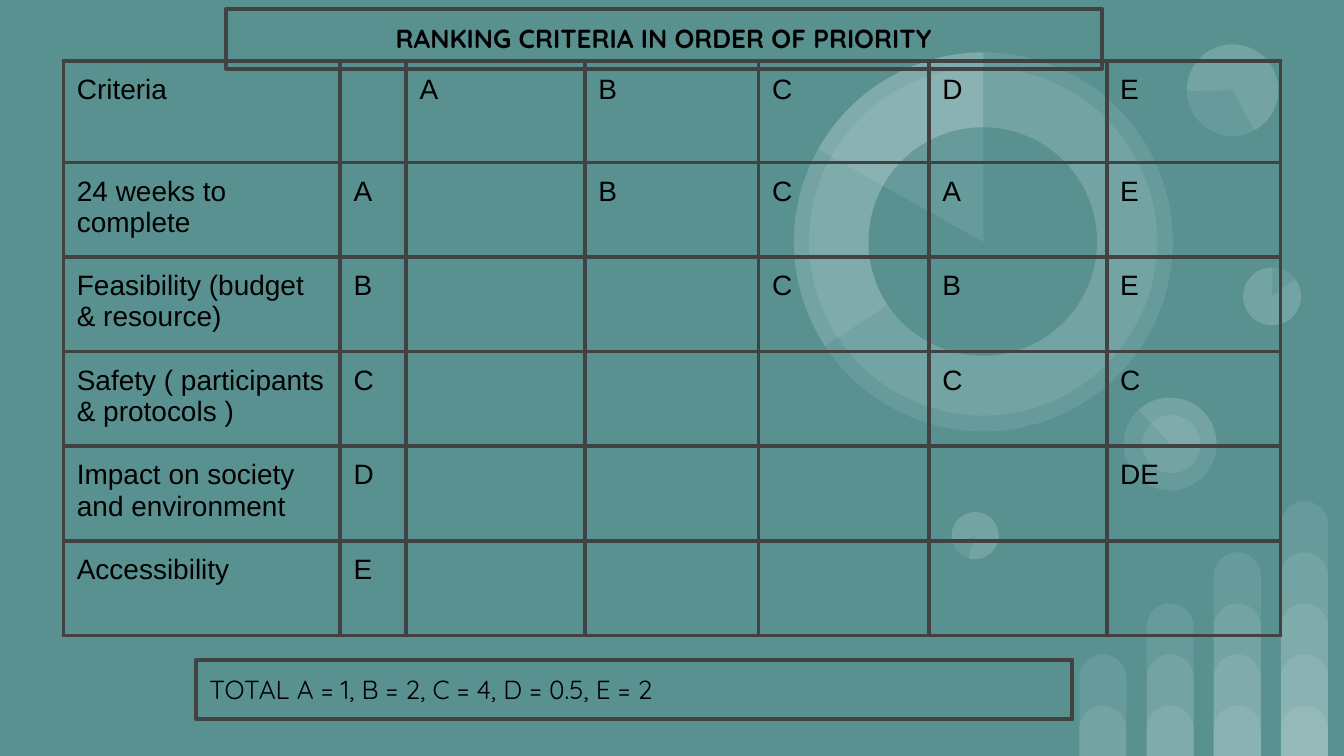
from dataclasses import dataclass

from lxml.etree import SubElement as Sub
from pptx import Presentation
from pptx.dml.color import RGBColor
from pptx.enum.shapes import MSO_SHAPE as Kind
from pptx.enum.text import MSO_ANCHOR as Anchor, MSO_AUTO_SIZE as Fit, PP_ALIGN as Align
from pptx.oxml.ns import qn
from pptx.util import Pt

HUES = {"back": "599191", "veil": "FFFFFF", "edge": "424242", "text": "000000"}
EDGE = 2.25
PAD = 7.2
VEIL = 9  # percent opaque


@dataclass
class Disc:
    """A circle, or a pie slice when it has angles."""
    left: float
    top: float
    size: float
    turn: float = 0
    slice: tuple[float, float] | None = None
    solid: bool = False


@dataclass
class Note:
    """A framed line of text."""
    left: float
    top: float
    text: str
    bold: bool = False
    align: Align = Align.LEFT


DISCS = [
    Disc(666, 143.3, 31),
    Disc(509.8, 274.3, 25.2, 196.2),
    Disc(602, 213, 49.7, 90),
    Disc(602, 213, 49.7, 90, (82.45, 162.46)),
    Disc(612, 222.5, 31, 90),
    Disc(666, 143.3, 31, 0, (193.77, 162)),
    Disc(635.8, 23.8, 49, 215.9),
    Disc(635.8, 23.8, 49, 215.9, (193.77, 123.14)),
    Disc(425.3, 28.1, 203),
    Disc(433.4, 36.2, 186.5, 34.1),
    Disc(425.3, 28.1, 203, 0, (88.01, 162)),
    Disc(465.3, 68.2, 122.4, 34.1, None, True),
    Disc(425.3, 28.1, 203, 0, (125.54, 162)),
    Disc(509.8, 274.3, 25.2, 196.2, (193.77, 162)),
]
WIDTHS = [148.2, 35.4, 95.8, 93.1, 91.3, 95.2, 93.2]
HEIGHTS = [54.4] + [50.7] * 5
ROWS = [
    ["Criteria", "", "A", "B", "C", "D", "E"],
    ["24 weeks to complete", "A", "", "B", "C", "A", "E"],
    ["Feasibility (budget & resource)", "B", "", "", "C", "B", "E"],
    ["Safety ( participants & protocols )", "C", "", "", "", "C", "C"],
    ["Impact on society and environment", "D", "", "", "", "", "DE"],
    ["Accessibility", "E", "", "", "", "", ""],
]
TOTAL = Note(105.1, 353.5, "TOTAL A = 1, B = 2, C = 4, D = 0.5, E = 2")
TITLE = Note(121, 5, "RANKING CRITERIA IN ORDER OF PRIORITY", True, Align.CENTER)


def hue(name: str) -> RGBColor:
    """Look up a colour."""
    return RGBColor.from_string(HUES[name])


def style(para, face: str, size: float, bold: bool = False) -> None:
    """Set the font of a paragraph."""
    font = para.font
    font.name, font.size, font.bold = face, Pt(size), bold
    font.color.rgb = hue("text")


def add_form(slide, kind: Kind, box: tuple, solid: bool = False):
    """Add a borderless shape, see-through unless solid."""
    form = slide.shapes.add_shape(kind, *map(Pt, box))
    form.shadow.inherit = False
    form.line.fill.background()
    form.fill.solid()
    form.fill.fore_color.rgb = hue("back" if solid else "veil")
    if not solid:
        tone = form.element.spPr.find(f"{qn('a:solidFill')}/{qn('a:srgbClr')}")
        Sub(tone, qn("a:alpha"), val=str(VEIL * 1000))
    return form


def add_bars(slide) -> None:
    """Draw four columns of stacked round-topped bars."""
    for col in range(4):
        for step in range(col + 2):
            high = 27 + 27.36 * step
            bar = add_form(slide, Kind.ROUND_2_SAME_RECTANGLE,
                           (578.2 + 36 * col, 405 - high, 25.2, high))
            bar.adjustments[0], bar.adjustments[1] = 0.5, 0


def add_disc(slide, disc: Disc) -> None:
    """Draw one circle or slice."""
    kind = Kind.PIE if disc.slice else Kind.OVAL
    form = add_form(slide, kind, (disc.left, disc.top, disc.size, disc.size), disc.solid)
    form.rotation = disc.turn
    for i, angle in enumerate(disc.slice or ()):
        form.adjustments[i] = angle


def edge_cell(cell) -> None:
    """Put a line on all four sides of a cell."""
    props = cell._tc.get_or_add_tcPr()
    for side in "LRTB":
        line = Sub(props, qn(f"a:ln{side}"), w=str(Pt(EDGE)))
        Sub(Sub(line, qn("a:solidFill")), qn("a:srgbClr"), val=HUES["edge"])


def add_grid(slide) -> None:
    """Draw the table of ranked criteria."""
    table = slide.shapes.add_table(len(ROWS), len(WIDTHS), Pt(34), Pt(32.6),
                                   Pt(sum(WIDTHS)), Pt(sum(HEIGHTS))).table
    table.first_row = table.horz_banding = False
    for col, wide in zip(table.columns, WIDTHS):
        col.width = Pt(wide)
    for row, high, texts in zip(table.rows, HEIGHTS, ROWS):
        row.height = Pt(high)
        for cell, text in zip(row.cells, texts):
            edge_cell(cell)
            cell.fill.background()
            cell.margin_left = cell.margin_right = Pt(PAD)
            cell.margin_top = cell.margin_bottom = Pt(PAD)
            cell.text = text
            style(cell.text_frame.paragraphs[0], "Arial", 15)


def fill_note(form, note: Note) -> None:
    """Place, frame and fill a text shape."""
    form.left, form.top, form.width, form.height = map(
        Pt, (note.left, note.top, 469.4, 31.9))
    form.line.color.rgb = hue("edge")
    form.line.width = Pt(EDGE)
    frame = form.text_frame
    frame.text = note.text
    frame.word_wrap, frame.auto_size = True, Fit.NONE
    frame.vertical_anchor = Anchor.TOP
    frame.margin_left = frame.margin_right = Pt(PAD)
    frame.margin_top = frame.margin_bottom = Pt(PAD)
    para = frame.paragraphs[0]
    para.alignment = note.align
    style(para, "Quicksand", 14, note.bold)


def main() -> None:
    """Build and save the slide."""
    deck = Presentation()
    deck.slide_width, deck.slide_height = Pt(720), Pt(405)
    slide = deck.slides.add_slide(deck.slide_layouts[5])
    slide.background.fill.solid()
    slide.background.fill.fore_color.rgb = hue("back")
    add_bars(slide)
    for disc in DISCS:
        add_disc(slide, disc)
    add_grid(slide)
    fill_note(slide.shapes.add_textbox(0, 0, 0, 0), TOTAL)
    title = slide.shapes.title
    fill_note(title, TITLE)
    title.element.getparent().append(title.element)
    deck.save("out.pptx")


main()
